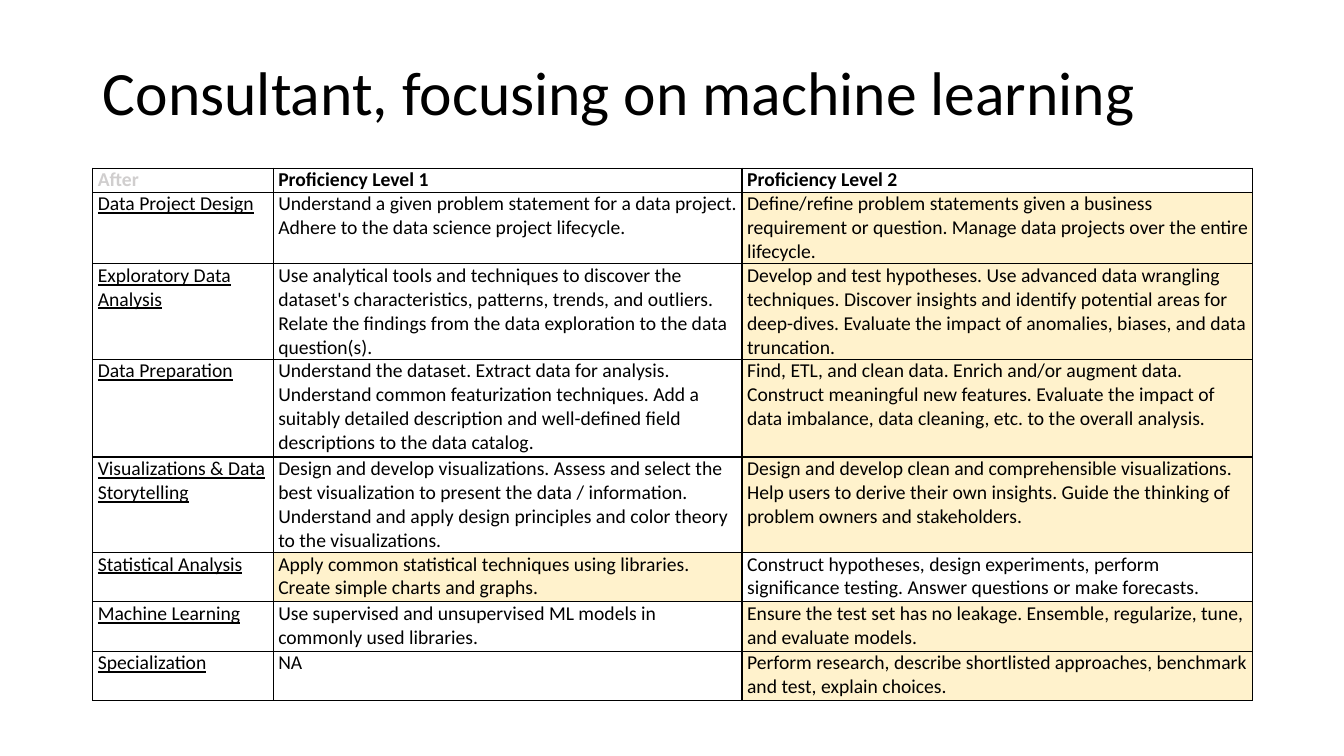
from lxml import etree
from pptx import Presentation
from pptx import util as u
from pptx.dml.color import RGBColor
from pptx.enum import text
from pptx.oxml import ns

FONT = "Calibri"
BLACK = RGBColor(0x00, 0x00, 0x00)
GREY = RGBColor(0xD0, 0xCE, 0xCE)
CREAM = RGBColor(0xFF, 0xF2, 0xCC)

SLIDE_W, SLIDE_H = 13.33, 7.5
LEFT, WIDTH = 0.92, 11.5
TITLE_TOP, TITLE_H = 0.22, 1.45
COLUMNS = [1.79, 4.65, 5.06]
ROWS = [0.16, 0.49, 0.81, 0.97, 0.81, 0.49, 0.49, 0.49]

TITLE = "Consultant, focusing on machine learning"
HEADER = ("After", "Proficiency Level 1", "Proficiency Level 2")
SKILLS = [
    ("Data Project Design",
     "Understand a given problem statement for a data project. Adhere to the data science "
     "project lifecycle.",
     "Define/refine problem statements given a business requirement or question. Manage data "
     "projects over the entire lifecycle."),
    ("Exploratory Data Analysis",
     "Use analytical tools and techniques to discover the dataset's characteristics, patterns, "
     "trends, and outliers. Relate the findings from the data exploration to the data "
     "question(s).",
     "Develop and test hypotheses. Use advanced data wrangling techniques. Discover insights and "
     "identify potential areas for deep-dives. Evaluate the impact of anomalies, biases, and "
     "data truncation."),
    ("Data Preparation",
     "Understand the dataset. Extract data for analysis. Understand common featurization "
     "techniques. Add a suitably detailed description and well-defined field descriptions to "
     "the data catalog.",
     "Find, ETL, and clean data. Enrich and/or augment data. Construct meaningful new features. "
     "Evaluate the impact of data imbalance, data cleaning, etc. to the overall analysis."),
    ("Visualizations & Data Storytelling",
     "Design and develop visualizations. Assess and select the best visualization to present "
     "the data / information. Understand and apply design principles and color theory to the "
     "visualizations.",
     "Design and develop clean and comprehensible visualizations. Help users to derive their own "
     "insights. Guide the thinking of problem owners and stakeholders."),
    ("Statistical Analysis",
     "Apply common statistical techniques using libraries. Create simple charts and graphs.",
     "Construct hypotheses, design experiments, perform significance testing. Answer questions "
     "or make forecasts."),
    ("Machine Learning",
     "Use supervised and unsupervised ML models in commonly used libraries.",
     "Ensure the test set has no leakage. Ensemble, regularize, tune, and evaluate models."),
    ("Specialization",
     "NA",
     "Perform research, describe shortlisted approaches, benchmark and test, explain choices."),
]
TARGET_LEVEL = {"Statistical Analysis": 1}


def add_run(p, words, size, color=BLACK, bold=False, underline=False):
    """Append a formatted run to a paragraph."""
    r = p.add_run()
    r.text = words
    f = r.font
    f.name, f.size, f.bold, f.underline = FONT, u.Pt(size), bold, underline
    f.color.rgb = color


def add_title(s):
    """Place and fill the title placeholder."""
    sp = s.shapes.title
    sp.left, sp.top = u.Inches(LEFT), u.Inches(TITLE_TOP)
    sp.width, sp.height = u.Inches(WIDTH), u.Inches(TITLE_H)
    tf = sp.text_frame
    tf.word_wrap = True
    tf.auto_size = text.MSO_AUTO_SIZE.NONE
    tf.vertical_anchor = text.MSO_ANCHOR.MIDDLE
    p = tf.paragraphs[0]
    p.alignment = text.PP_ALIGN.LEFT
    p.line_spacing = 0.9
    add_run(p, TITLE, 44)


def add_borders(cell):
    """Draw a thin black line on each side of a cell."""
    tc_pr = cell._tc.get_or_add_tcPr()
    for side in ("a:lnL", "a:lnR", "a:lnT", "a:lnB"):
        ln = etree.SubElement(tc_pr, ns.qn(side), w=str(u.Pt(1)))
        fill = etree.SubElement(ln, ns.qn("a:solidFill"))
        etree.SubElement(fill, ns.qn("a:srgbClr"), val=str(BLACK))


def fill_cell(cell, words, fill=None, **style):
    """Write a cell with its borders, indent and optional fill."""
    cell.margin_left = cell.margin_right = cell.margin_top = cell.margin_bottom = 0
    add_borders(cell)
    if fill is None:
        cell.fill.background()
    else:
        cell.fill.solid()
        cell.fill.fore_color.rgb = fill
    p = cell.text_frame.paragraphs[0]
    p_pr = p._p.get_or_add_pPr()
    p_pr.set("marL", str(u.Inches(0.05)))
    p_pr.set("indent", "0")
    add_run(p, words, 14, **style)


def add_skill_table(s):
    """Add the proficiency table with target levels highlighted."""
    frame = s.shapes.add_table(len(ROWS), len(COLUMNS), u.Inches(LEFT),
                               u.Inches(TITLE_TOP + TITLE_H), u.Inches(WIDTH),
                               u.Inches(sum(ROWS)))
    table = frame.table
    table.first_row = table.horz_banding = False
    for column, width in zip(table.columns, COLUMNS):
        column.width = u.Inches(width)
    for row, height in zip(table.rows, ROWS):
        row.height = u.Inches(height)
    for i, words in enumerate(HEADER):
        fill_cell(table.cell(0, i), words, bold=True, color=BLACK if i else GREY)
    for j, skill in enumerate(SKILLS, start=1):
        target = TARGET_LEVEL.get(skill[0], 2)
        for i, words in enumerate(skill):
            fill_cell(table.cell(j, i), words, fill=CREAM if i == target else None,
                      underline=i == 0)


def main():
    """Build and save the slide."""
    prs = Presentation()
    prs.slide_width, prs.slide_height = u.Inches(SLIDE_W), u.Inches(SLIDE_H)
    s = prs.slides.add_slide(prs.slide_layouts[5])
    add_title(s)
    add_skill_table(s)
    prs.save("out.pptx")


if __name__ == "__main__":
    main()
